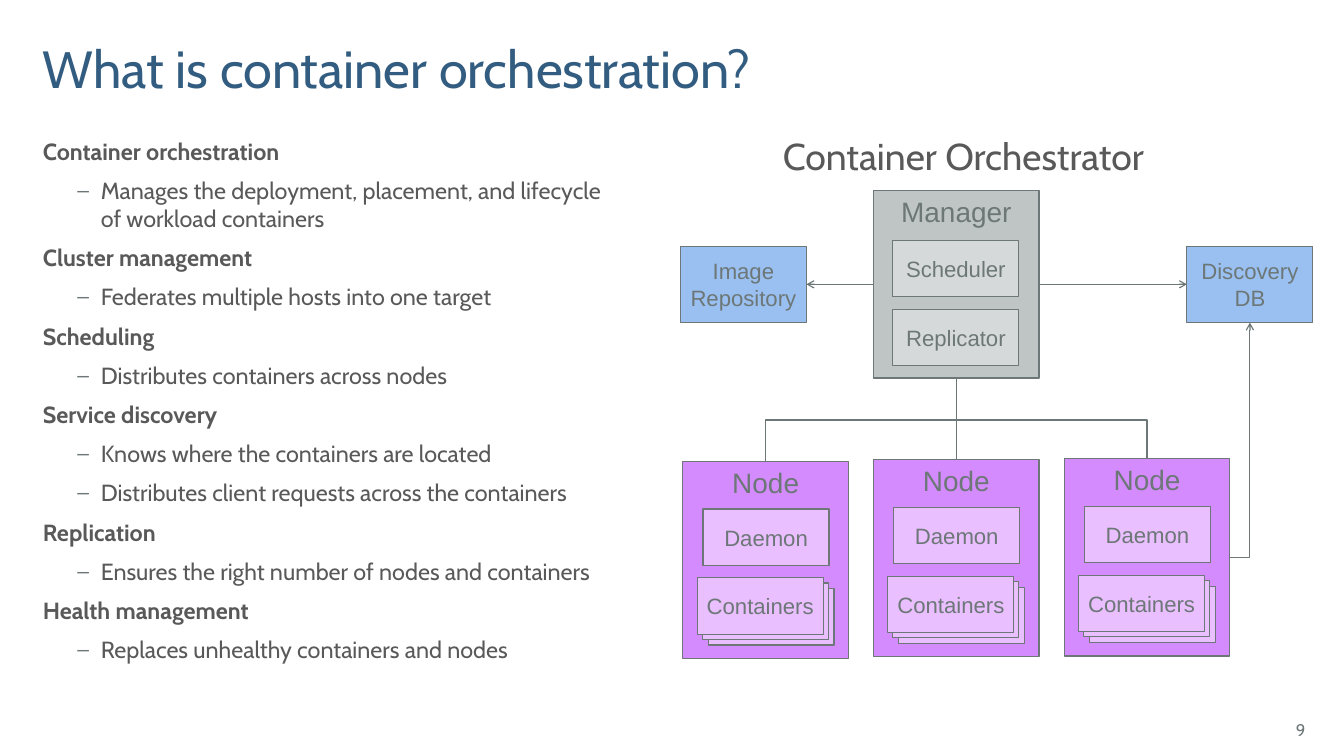
from dataclasses import dataclass

from lxml.etree import SubElement
from pptx import Presentation
from pptx.dml.color import RGBColor
from pptx.enum.shapes import MSO_CONNECTOR, MSO_SHAPE
from pptx.enum.text import MSO_ANCHOR, PP_ALIGN
from pptx.oxml.ns import qn
from pptx.util import Inches, Pt


@dataclass(frozen=True)
class Theme:
    """Colours, fonts and type sizes of the slide."""
    title: str = "325C80"
    body: str = "595959"
    line: str = "6D7777"
    manager: str = "BFC5C5"
    manager_part: str = "D5D9D9"
    node: str = "D48BFD"
    node_part: str = "E9BFFF"
    store: str = "99C0F0"
    text_font: str = "Cabin"
    label_font: str = "Arial"
    title_size: float = 44.8
    heading_size: float = 32
    body_size: float = 20
    group_size: float = 24
    part_size: float = 19
    number_size: float = 14.4


THEME = Theme()
PART_SIZE = (1.5, 0.67)
BUS_DROP = 0.5

TOPICS = [
    ("Container orchestration",
     ["Manages the deployment, placement, and lifecycle of workload containers"]),
    ("Cluster management", ["Federates multiple hosts into one target"]),
    ("Scheduling", ["Distributes containers across nodes"]),
    ("Service discovery",
     ["Knows where the containers are located",
      "Distributes client requests across the containers"]),
    ("Replication", ["Ensures the right number of nodes and containers"]),
    ("Health management", ["Replaces unhealthy containers and nodes"]),
]


def style(paragraph, size, color, font=THEME.text_font, bold=False):
    """Set the font of a whole paragraph."""
    paragraph.font.size = Pt(size)
    paragraph.font.name = font
    paragraph.font.bold = bold
    paragraph.font.color.rgb = RGBColor.from_string(color)


def add_frame(slide, box, inset=0):
    """Add a wrapping text box and return its text frame."""
    frame = slide.shapes.add_textbox(*map(Inches, box)).text_frame
    frame.word_wrap = True
    frame.margin_left = Inches(inset)
    return frame


def add_line_of_text(slide, box, text, size, color, align=PP_ALIGN.LEFT,
                     anchor=MSO_ANCHOR.TOP, inset=0):
    """Place a single paragraph in a box and return it."""
    frame = add_frame(slide, box, inset)
    frame.vertical_anchor = anchor
    paragraph = frame.paragraphs[0]
    paragraph.text = text
    paragraph.alignment = align
    style(paragraph, size, color)
    return paragraph


def add_dash(paragraph):
    """Give a paragraph a hanging dash bullet."""
    paragraph.level = 1
    properties = paragraph._p.get_or_add_pPr()
    properties.set("marL", str(Inches(0.69)))
    properties.set("indent", str(Inches(-0.28)))
    SubElement(SubElement(properties, qn("a:buClr")), qn("a:srgbClr"), val=THEME.line)
    SubElement(properties, qn("a:buSzPct"), val="90000")
    SubElement(properties, qn("a:buFont"), typeface=THEME.label_font)
    SubElement(properties, qn("a:buChar"), char="–")


def add_topics(slide, box):
    """List each topic in bold with its points below."""
    frame = add_frame(slide, box)
    rows = [row for topic, points in TOPICS
            for row in [(topic, True)] + [(point, False) for point in points]]
    for index, (text, is_topic) in enumerate(rows):
        paragraph = frame.add_paragraph() if index else frame.paragraphs[0]
        paragraph.text = text
        if not is_topic:
            add_dash(paragraph)
        if index:
            paragraph.space_before = Pt(9.6)
        style(paragraph, THEME.body_size, THEME.body, bold=is_topic)


def add_block(slide, box, fill, label="", size=THEME.part_size,
              anchor=MSO_ANCHOR.MIDDLE, wrap=False, inset=0.1):
    """Draw an outlined rectangle with a centred label."""
    block = slide.shapes.add_shape(MSO_SHAPE.RECTANGLE, *map(Inches, box))
    block.shadow.inherit = False
    block.fill.solid()
    block.fill.fore_color.rgb = RGBColor.from_string(fill)
    block.line.color.rgb = RGBColor.from_string(THEME.line)
    block.line.width = Pt(1)
    if label:
        frame = block.text_frame
        frame.word_wrap = wrap
        frame.vertical_anchor = anchor
        frame.margin_left = frame.margin_right = Inches(inset)
        paragraph = frame.paragraphs[0]
        paragraph.text = label
        paragraph.alignment = PP_ALIGN.CENTER
        style(paragraph, size, THEME.line, THEME.label_font)
    return block


def add_manager(slide, box):
    """Draw the manager with its scheduler and replicator."""
    left, top = box[:2]
    manager = add_block(slide, box, THEME.manager, "Manager", THEME.group_size,
                        MSO_ANCHOR.TOP)
    for index, name in enumerate(["Scheduler", "Replicator"]):
        add_block(slide, (left + 0.23, top + 0.59 + 0.82 * index, *PART_SIZE),
                  THEME.manager_part, name)
    return manager


def add_node(slide, box):
    """Draw a node with its daemon and a stack of containers."""
    left, top = box[:2]
    node = add_block(slide, box, THEME.node, "Node", THEME.group_size, MSO_ANCHOR.TOP)
    add_block(slide, (left + 0.24, top + 0.57, *PART_SIZE), THEME.node_part, "Daemon")
    for offset, label in [(0.13, ""), (0.06, ""), (0, "Containers")]:
        add_block(slide, (left + 0.17 + offset, top + 1.39 + offset, *PART_SIZE),
                  THEME.node_part, label)
    return node


def add_link(slide, start, end, kind=MSO_CONNECTOR.STRAIGHT, arrow=False):
    """Draw a connector between two points."""
    link = slide.shapes.add_connector(kind, *map(Inches, (*start, *end)))
    link.line.color.rgb = RGBColor.from_string(THEME.line)
    link.line.width = Pt(1)
    if arrow:
        SubElement(link.line._get_or_add_ln(), qn("a:tailEnd"), type="arrow")
    SubElement(link._element.spPr, qn("a:effectLst"))
    return link


def join(slide, source, source_side, target, target_side, arrow=False):
    """Join two blocks with a straight connector."""
    link = add_link(slide, (0, 0), (1, 1), arrow=arrow)
    link.begin_connect(source, source_side)
    link.end_connect(target, target_side)


def add_branch(slide, start, end):
    """Draw an elbow that drops, runs sideways and drops again."""
    center_x, center_y = (start[0] + end[0]) / 2, (start[1] + end[1]) / 2
    drop, span = end[1] - start[1], abs(end[0] - start[0])
    side = 1 if end[0] > start[0] else -1
    branch = add_link(slide, (center_x + side * drop / 2, center_y - span / 2),
                      (center_x - side * drop / 2, center_y + span / 2),
                      MSO_CONNECTOR.ELBOW)
    properties = branch._element.spPr
    properties.find(qn("a:xfrm")).set("rot", str((180 + 90 * side) * 60000))
    adjustments = properties.find(qn("a:prstGeom")).get_or_add_avLst()
    SubElement(adjustments, qn("a:gd"), name="adj1",
               fmla=f"val {round(BUS_DROP / drop * 100000)}")


def add_orchestrator(slide, left, top):
    """Draw the manager, its stores and its nodes."""
    width, height, node_height = 1.97, 2.23, 2.35
    manager_left = left + 2.3
    center, bottom = manager_left + width / 2, top + height
    manager = add_manager(slide, (manager_left, top, width, height))
    tops = [top + 3.22, top + 3.2, top + 3.19]
    lefts = [manager_left + 2.27 * step for step in (-1, 0, 1)]
    nodes = [add_node(slide, (x, y, width, node_height)) for x, y in zip(lefts, tops)]
    store_top, store_height = top + 0.66, 0.91
    discovery = add_block(slide, (left + 6.03, store_top, 1.5, store_height),
                          THEME.store, "Discovery DB", wrap=True)
    images = add_block(slide, (left, store_top, 1.5, store_height),
                       THEME.store, "Image Repository", wrap=True, inset=0)
    for index in (2, 0):
        add_branch(slide, (center, bottom), (lefts[index] + width / 2, tops[index]))
    join(slide, manager, 2, nodes[1], 0)
    join(slide, manager, 3, discovery, 1, arrow=True)
    join(slide, manager, 1, images, 3, arrow=True)
    lookup = add_link(slide, (lefts[2] + width, tops[2] + node_height / 2),
                      (left + 6.78, store_top + store_height),
                      MSO_CONNECTOR.ELBOW, arrow=True)
    lookup._element.spPr.find(qn("a:prstGeom")).set("prst", "bentConnector2")


def main():
    """Build the slide and save it."""
    deck = Presentation()
    deck.slide_width, deck.slide_height = Inches(16), Inches(9)
    slide = deck.slides.add_slide(deck.slide_layouts[6])
    title = add_line_of_text(slide, (0.51, 0.08, 14.29, 1.15),
                             "What is container orchestration?", THEME.title_size,
                             THEME.title, anchor=MSO_ANCHOR.BOTTOM)
    title.line_spacing = 0.85
    add_line_of_text(slide, (14.94, 8.45, 0.7, 0.48), "9", THEME.number_size,
                     THEME.line, PP_ALIGN.RIGHT, MSO_ANCHOR.MIDDLE, 0.1)
    add_topics(slide, (0.51, 1.58, 6.77, 6.67))
    add_line_of_text(slide, (8.52, 1.54, 6, 0.6), "Container Orchestrator",
                     THEME.heading_size, THEME.body, PP_ALIGN.CENTER)
    add_orchestrator(slide, 8.1, 2.27)
    deck.save("out.pptx")


if __name__ == "__main__":
    main()
